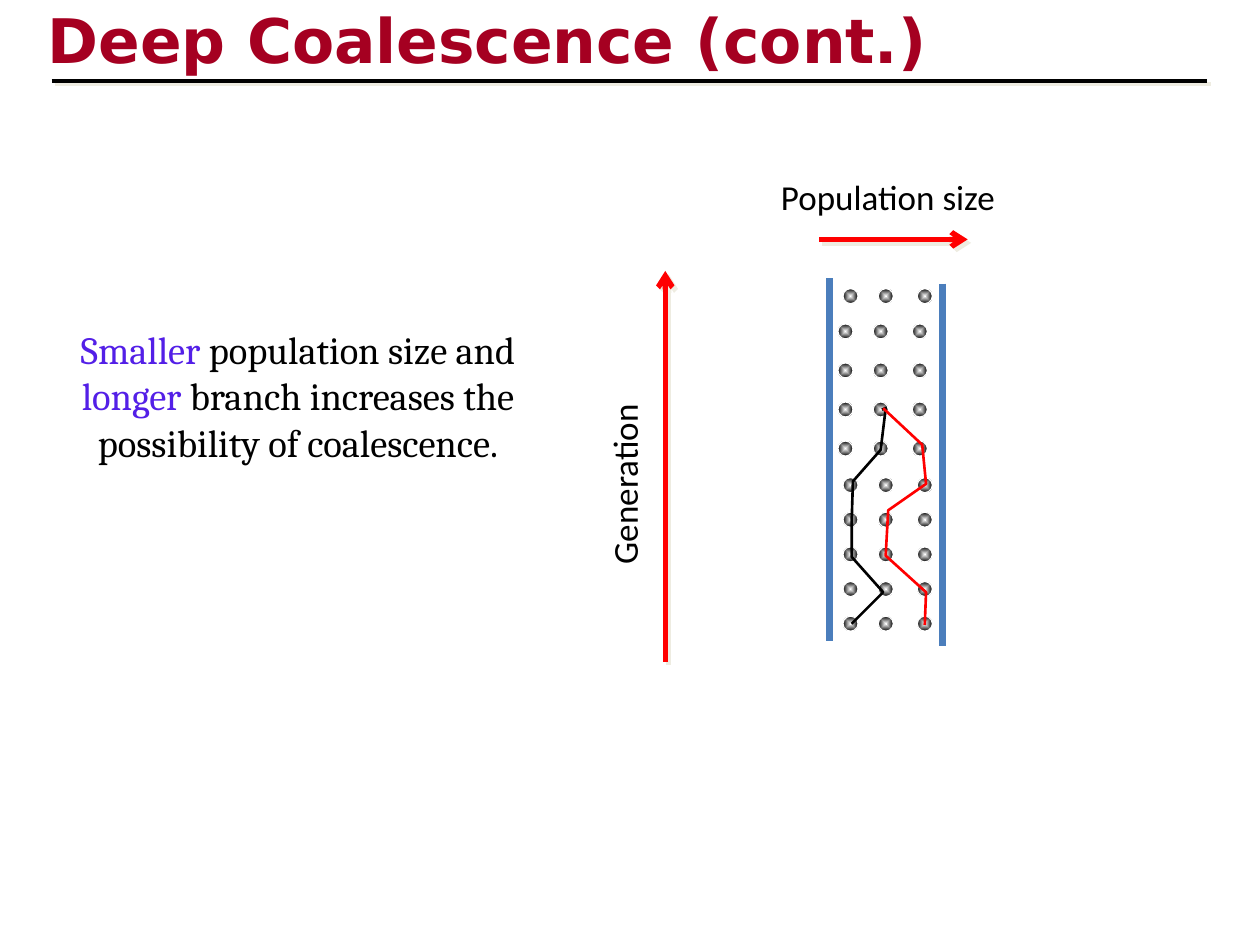
import pptx
import pptx.util
import pptx.dml.color
import pptx.enum.shapes
import pptx.enum.text
import pptx.oxml
import pptx.oxml.ns

Inches, Pt = pptx.util.Inches, pptx.util.Pt
RGB = pptx.dml.color.RGBColor
ALIGN = pptx.enum.text.PP_ALIGN
ANCHOR = pptx.enum.text.MSO_ANCHOR
SIZING = pptx.enum.text.MSO_AUTO_SIZE

BLACK = RGB(0x00, 0x00, 0x00)
WHITE = RGB(0xFF, 0xFF, 0xFF)
RED = RGB(0xFF, 0x00, 0x00)
BLUE = RGB(0x4B, 0x7E, 0xBC)
VIOLET = RGB(0x53, 0x1F, 0xE7)
CRIMSON = RGB(0xA5, 0x00, 0x21)
CREAM = RGB(0xEE, 0xEC, 0xE1)

# Dots: column offsets, and each row as left edge and top
DOT = 0.12
COLS = (0, 0.28, 0.59)
ROWS = [(6.69, 2.29)]
ROWS += [(6.65, 2.57 + 0.31 * i) for i in range(4)]
ROWS += [(6.69, 3.79 + 0.275 * i) for i in range(5)]

# Lines of descent, from the latest generation upward
BLACK_PATH = [(6.76, 4.95), (7.01, 4.7), (6.76, 4.42), (6.76, 4.13),
              (6.77, 3.82), (6.99, 3.57), (7.03, 3.24), (7, 3.25)]
RED_PATH = [(7.34, 4.96), (7.35, 4.7), (7.03, 4.41), (7.05, 4.05),
            (7.35, 3.84), (7.32, 3.53), (7.01, 3.24)]


def make(tag, inner="", attrs=""):
    """Build one drawing element from its tag and content."""
    space = pptx.oxml.ns.nsdecls("a")
    return pptx.oxml.parse_xml(f"<a:{tag} {space} {attrs}>{inner}</a:{tag}>")


def effect(shade):
    """An effect list, empty or with a small offset shadow."""
    inner = (f'<a:outerShdw dist="35560" dir="2700000" algn="ctr">'
             f'<a:srgbClr val="{CREAM}"/></a:outerShdw>') if shade else ""
    return make("effectLst", inner)


def write(shape, runs, font, size, bold=False, align=ALIGN.LEFT, wrap=True,
          anchor=ANCHOR.TOP, fit=SIZING.SHAPE_TO_FIT_TEXT, shade=False):
    """Fill a shape with one paragraph of (text, colour) runs."""
    frame = shape.text_frame
    frame.word_wrap = wrap
    frame.auto_size = fit
    frame.vertical_anchor = anchor
    para = frame.paragraphs[0]
    para.alignment = align
    for text, color in runs:
        run = para.add_run()
        run.text = text
        run.font.size = Pt(size)
        run.font.bold = bold
        run.font.color.rgb = color
        if shade:
            run.font.fill  # the effect list follows the fill
            run.font._element.append(effect(True))
        run.font.name = font


def box(slide, left, top, width, height):
    return slide.shapes.add_textbox(
        Inches(left), Inches(top), Inches(width), Inches(height))


def rule(slide, start, end, color, width, arrow=False, shade=False):
    """Draw a straight line, with an arrowhead at its end if wanted."""
    line = slide.shapes.add_connector(
        pptx.enum.shapes.MSO_CONNECTOR.STRAIGHT,
        *(Inches(value) for value in start + end))
    line.line.color.rgb = color
    line.line.width = Pt(width)
    if arrow:
        line.line._get_or_add_ln().append(
            make("tailEnd", attrs='type="arrow"'))
    line._element.spPr.append(effect(shade))


def dot(slide, left, top):
    """Draw one individual as a ball, light at its centre."""
    ball = slide.shapes.add_shape(
        pptx.enum.shapes.MSO_SHAPE.OVAL,
        Inches(left), Inches(top), Inches(DOT), Inches(DOT))
    ball.shadow.inherit = False
    ball.line.color.rgb = WHITE
    ball.line.width = Pt(0.75)
    stops = "".join(f'<a:gs pos="{pos}"><a:srgbClr val="{color}"/></a:gs>'
                    for pos, color in ((0, WHITE), (100000, BLACK)))
    fill = make("gradFill", f'<a:gsLst>{stops}</a:gsLst><a:path path="shape">'
                '<a:fillToRect l="50000" t="50000" r="50000" b="50000"/>'
                "</a:path>")
    ball._element.spPr.find(pptx.oxml.ns.qn("a:ln")).addprevious(fill)


def trace(slide, points, color):
    """Draw an open line of descent through the points."""
    spots = [(Inches(x), Inches(y)) for x, y in points]
    build = slide.shapes.build_freeform(*spots[0])
    build.add_line_segments(spots[1:], close=False)
    shape = build.convert_to_shape()
    shape.shadow.inherit = False
    shape.fill.background()
    shape.line.color.rgb = color
    shape.line.width = Pt(1.5)


def head(slide):
    title = slide.shapes.title
    title.left, title.top = Inches(0.28), Inches(-0.03)
    title.width, title.height = Inches(8.5), Inches(0.67)
    write(title, [("Deep Coalescence (cont.)", CRIMSON)], "DejaVu Sans", 35.1,
          bold=True, anchor=ANCHOR.MIDDLE, fit=SIZING.NONE, shade=True)
    rule(slide, (0.41, 0.64), (9.58, 0.64), BLACK, 2.25, shade=True)


def main():
    deck = pptx.Presentation()
    deck.slide_width, deck.slide_height = Inches(10), Inches(7.5)
    slide = deck.slides.add_slide(deck.slide_layouts[5])
    head(slide)

    # Statement on the left
    write(box(slide, 0.16, 2.54, 4.41, 1.21),
          [("Smaller", VIOLET), (" population size and ", BLACK),
           ("longer", VIOLET),
           (" branch increases the possibility of coalescence.", BLACK)],
          "Cambria", 22, align=ALIGN.CENTER)

    # Axes and their labels
    rule(slide, (5.28, 5.25), (5.28, 2.15), RED, 3, arrow=True, shade=True)
    rule(slide, (6.5, 1.9), (7.68, 1.9), RED, 3, arrow=True, shade=True)
    write(box(slide, 6.1, 1.34, 2.44, 0.44),
          [("Population size", BLACK)], "Calibri", 20)
    side = box(slide, 4.13, 3.53, 1.65, 0.44)
    side.rotation = 270
    write(side, [("Generation", BLACK)], "Calibri", 20)

    # Branch walls, population and lines of descent
    rule(slide, (6.58, 2.21), (6.58, 5.09), BLUE, 4)
    rule(slide, (7.48, 2.25), (7.48, 5.13), BLUE, 4)
    for left, top in ROWS:
        for shift in COLS:
            dot(slide, left + shift, top)
    trace(slide, BLACK_PATH, BLACK)
    trace(slide, RED_PATH, RED)

    deck.save("out.pptx")


if __name__ == "__main__":
    main()
